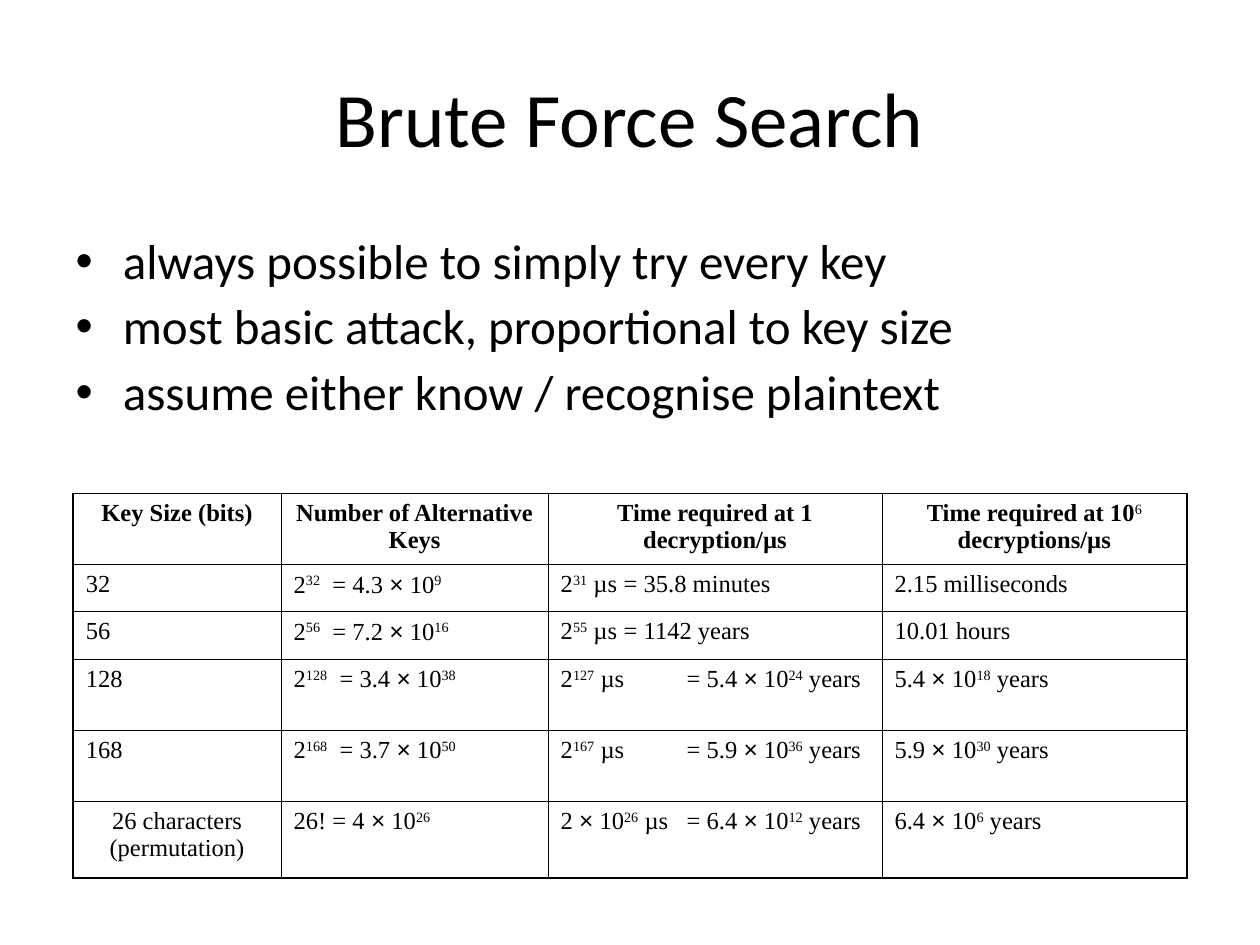
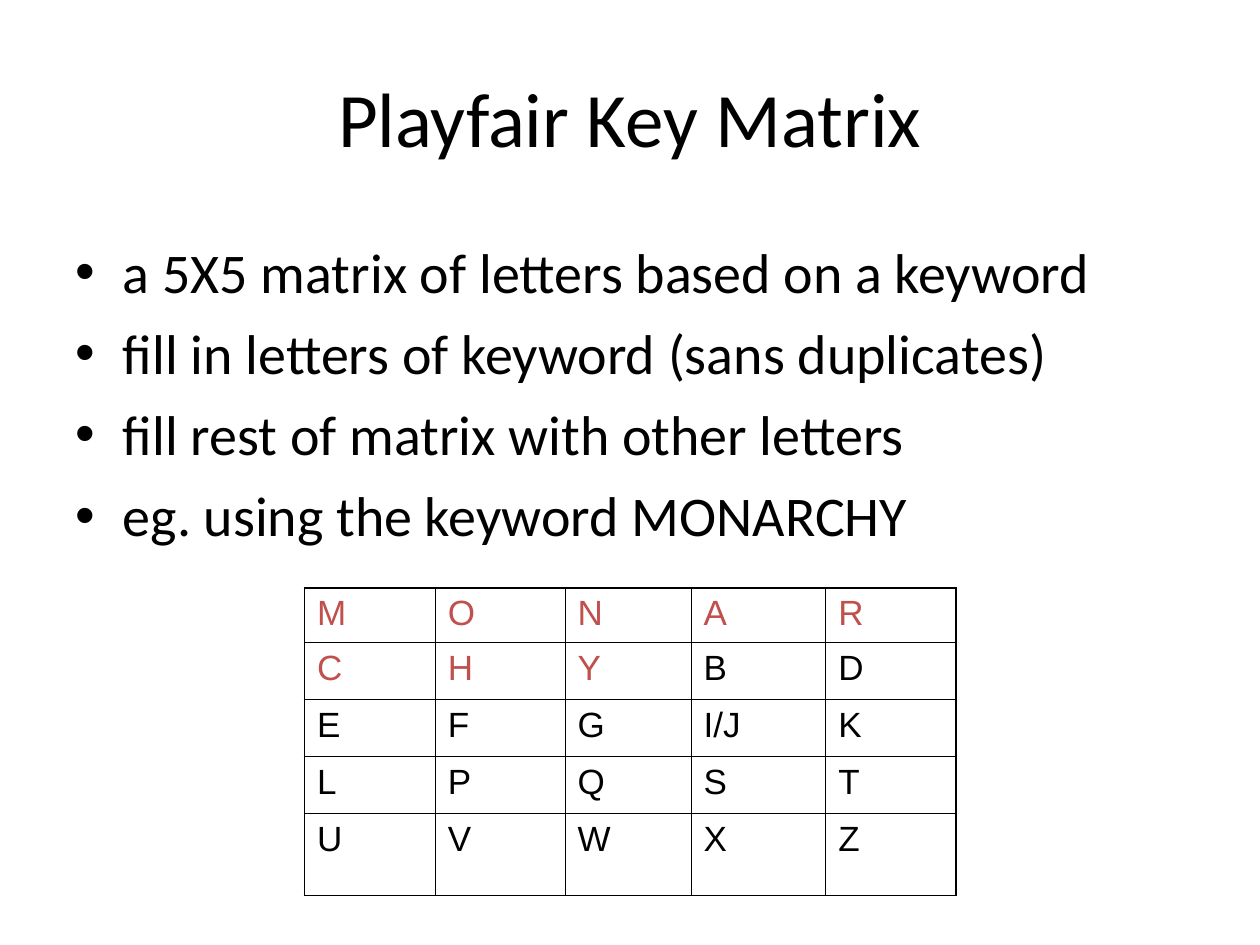
"""Build two cipher slides: brute force search times and the Playfair key matrix."""
from lxml import etree
from pptx import Presentation
from pptx import util as u
from pptx.dml import color
from pptx.enum import text
from pptx.oxml import ns

Pt = u.Pt
BLACK = "000000"
KEYWORD_RED = "C0504D"
OUTER_LINE = 1.08
INNER_LINE = 0.45


def style_run(run, size, font, hex_color=BLACK, bold=False):
    run.font.size = Pt(size)
    run.font.name = font
    run.font.bold = bold
    run.font.color.rgb = color.RGBColor.from_string(hex_color)


def add_grid(slide, left, top, widths, heights):
    frame = slide.shapes.add_table(len(heights), len(widths), Pt(left), Pt(top),
                                   Pt(sum(widths)), Pt(sum(heights)))
    table = frame.table
    table.first_row = False
    table.horz_banding = False
    for column, width in zip(table.columns, widths):
        column.width = Pt(width)
    last_row, last_column = len(heights) - 1, len(widths) - 1
    for r, height in enumerate(heights):
        table.rows[r].height = Pt(height)
        for c in range(len(widths)):
            cell = table.cell(r, c)
            cell.fill.background()
            properties = cell._tc.get_or_add_tcPr()
            on_edge = {"lnL": c == 0, "lnR": c == last_column,
                       "lnT": r == 0, "lnB": r == last_row}
            for position, (side, is_outer) in enumerate(on_edge.items()):
                line = etree.Element(ns.qn(f"a:{side}"))
                line.set("w", str(Pt(OUTER_LINE if is_outer else INNER_LINE)))
                fill = etree.SubElement(line, ns.qn("a:solidFill"))
                etree.SubElement(fill, ns.qn("a:srgbClr")).set("val", BLACK)
                properties.insert(position, line)
    return table


presentation = Presentation()
presentation.slide_width = Pt(720)
presentation.slide_height = Pt(540)

slide_texts = [
    ("Brute Force Search", 144, 28, 0.9, 7,
     ["always possible to simply try every key",
      "most basic attack, proportional to key size",
      "assume either know / recognise plaintext"]),
    ("Playfair Key Matrix", 210, 32, 1.0, 8,
     ["a 5X5 matrix of letters based on a keyword",
      "fill in letters of keyword (sans duplicates)",
      "fill rest of matrix with other letters",
      "eg. using the keyword MONARCHY"]),
]
slides = []
for title_text, body_height, size, spacing, space_before, bullets in slide_texts:
    slide = presentation.slides.add_slide(presentation.slide_layouts[1])
    slides.append(slide)
    title, body = slide.placeholders
    title.left, title.top, title.width, title.height = Pt(36), Pt(21.6), Pt(648), Pt(90)
    title.text_frame.text = title_text
    title.text_frame.vertical_anchor = text.MSO_ANCHOR.MIDDLE
    title.text_frame.paragraphs[0].alignment = text.PP_ALIGN.CENTER
    style_run(title.text_frame.paragraphs[0].runs[0], 44, "Calibri")

    body.left, body.top, body.width, body.height = Pt(36), Pt(132), Pt(648), Pt(body_height)
    body.text_frame.text = "\n".join(bullets)
    body.text_frame.auto_size = text.MSO_AUTO_SIZE.NONE
    for paragraph in body.text_frame.paragraphs:
        paragraph.line_spacing = spacing
        paragraph.space_before = Pt(space_before)
        style_run(paragraph.runs[0], size, "Calibri")

search_slide, matrix_slide = slides

# Carets enclose superscripts.
search_rows = [
    ["Key Size (bits)", "Number of Alternative Keys",
     "Time required at 1 decryption/µs", "Time required at 10^6^ decryptions/µs"],
    ["32", "2^32^  = 4.3 × 10^9^", "2^31^ µs\t= 35.8 minutes", "2.15 milliseconds"],
    ["56", "2^56^  = 7.2 × 10^16^", "2^55^ µs\t= 1142 years", "10.01 hours"],
    ["128", "2^128^  = 3.4 × 10^38^", "2^127^ µs\t= 5.4 × 10^24^ years",
     "5.4 × 10^18^ years"],
    ["168", "2^168^  = 3.7 × 10^50^", "2^167^ µs\t= 5.9 × 10^36^ years",
     "5.9 × 10^30^ years"],
    ["26 characters (permutation)", "26! = 4 × 10^26^",
     "2 × 10^26^ µs\t= 6.4 × 10^12^ years", "6.4 × 10^6^ years"],
]
search_table = add_grid(search_slide, 41.8, 282, [118.8, 152.6, 190.8, 174.2],
                        [40.6, 27, 27, 40.6, 40.6, 44])
for r, row in enumerate(search_rows):
    for c, entry in enumerate(row):
        paragraph = search_table.cell(r, c).text_frame.paragraphs[0]
        paragraph.space_before = paragraph.space_after = Pt(3)
        is_header = r == 0
        if is_header or entry.startswith("26 characters"):
            paragraph.alignment = text.PP_ALIGN.CENTER
        for part, piece in enumerate(entry.split("^")):
            is_superscript = part % 2 == 1
            before, sign, after = piece.partition("×")
            for words in filter(None, (before, sign, after)):
                run = paragraph.add_run()
                run.text = words
                style_run(run, 14, "Arial" if words == "×" else "Times New Roman",
                          bold=is_header and not is_superscript)
                if is_superscript:
                    run._r.get_or_add_rPr().set("baseline", "30000")

matrix_rows = ["M O N A R", "C H Y B D", "E F G I/J K", "L P Q S T", "U V W X Z"]
matrix_table = add_grid(matrix_slide, 174, 336, [74.7, 74.2, 72, 77, 74.3],
                        [31.2, 32.5, 32.5, 32.5, 47])
for r, row in enumerate(matrix_rows):
    for c, letter in enumerate(row.split()):
        paragraph = matrix_table.cell(r, c).text_frame.paragraphs[0]
        paragraph.text = letter
        paragraph.space_before = Pt(5)
        style_run(paragraph.runs[0], 20, "Arial",
                  KEYWORD_RED if letter in "MONARCHY" else BLACK)

presentation.save("out.pptx")
